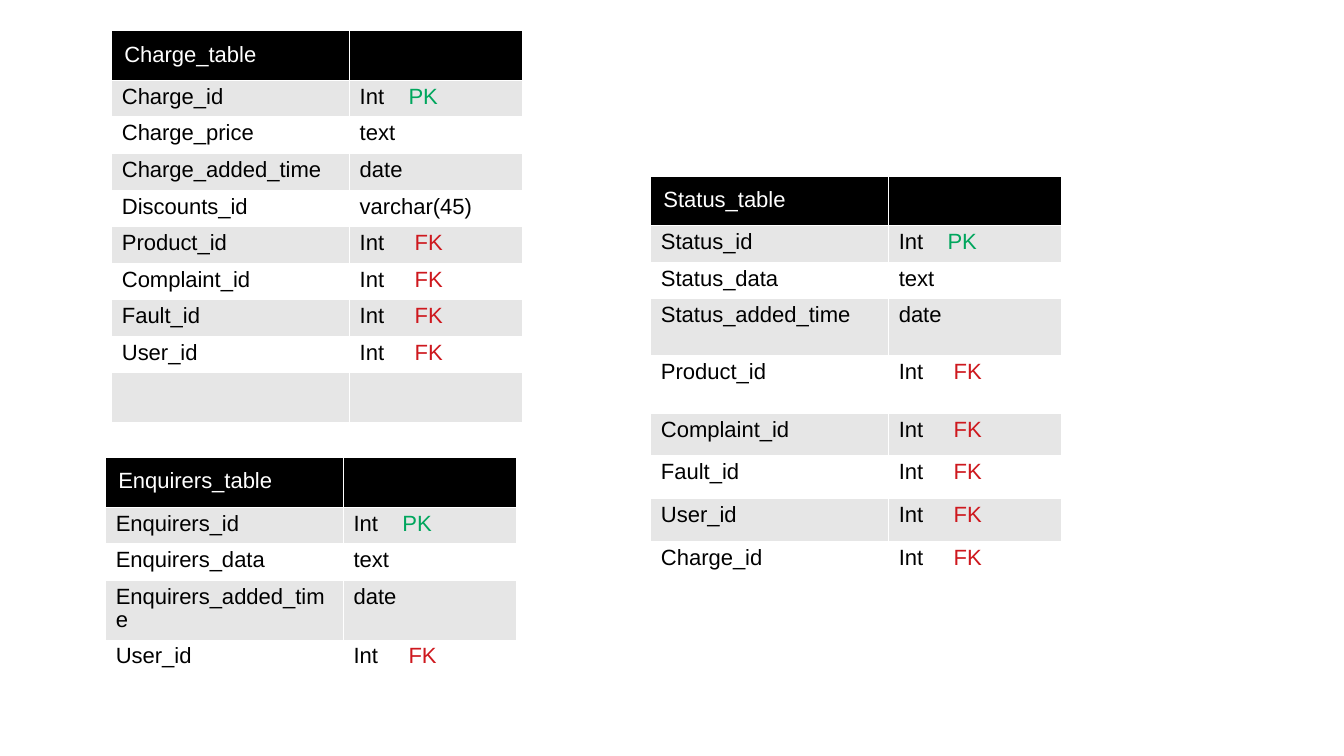
from lxml.etree import SubElement
from pptx import Presentation
from pptx.dml.color import RGBColor
from pptx.enum.text import MSO_ANCHOR
from pptx.oxml.ns import qn
from pptx.util import Inches, Pt

BLACK, WHITE, GREY = "000000", "FFFFFF", "E6E6E6"
KEY_COLOURS = {"PK": "00A65D", "FK": "CE181E"}
KEY_TABS = {"PK": 0.4, "FK": 0.45}


def colour(value):
    """Return the colour for a hex string."""
    return RGBColor.from_string(value)


class SchemaSlide:
    """Holds the text style and the slide on which schema tables are drawn."""

    font_name = "Arial"
    font_size = Pt(13)
    line_spacing = 0.93
    column_widths = (1.95, 1.42)

    def __init__(self, slide):
        """Keep the slide to draw on."""
        self.slide = slide

    def table(self, left, top, name, fields, heights):
        """Draw a header row and one banded row for each field."""
        rows = [(name, "", ""), *fields]
        frame = self.slide.shapes.add_table(
            len(rows), 2, Inches(left), Inches(top),
            Inches(sum(self.column_widths)), Inches(sum(heights)))
        schema = frame.table
        schema.horz_banding = False
        for column, width in zip(schema.columns, self.column_widths):
            column.width = Inches(width)
        for index, ((field, data_type, key), height) in enumerate(zip(rows, heights)):
            schema.rows[index].height = Inches(height)
            fill = BLACK if index == 0 else GREY if index % 2 else WHITE
            ink = WHITE if index == 0 else BLACK
            field_cell, type_cell = schema.rows[index].cells
            self.cell(field_cell, field, fill, ink)
            self.cell(type_cell, data_type, fill, ink, key)
        header = schema.cell(0, 0)
        header.vertical_anchor = MSO_ANCHOR.MIDDLE
        header.margin_left = Inches(0.11)

    def cell(self, cell, text, fill, ink, key=""):
        """Fill a cell and write its text, with the key mark at a tab stop."""
        cell.fill.solid()
        cell.fill.fore_color.rgb = colour(fill)
        cell.margin_left = cell.margin_right = Inches(0.09)
        cell.margin_top = cell.margin_bottom = Inches(0.05)
        self.borders(cell)
        if not text:
            return
        paragraph = cell.text_frame.paragraphs[0]
        paragraph.line_spacing = self.line_spacing
        if key:
            self.tab_stop(paragraph, KEY_TABS[key])
            self.run(paragraph, text + "\t", ink)
            self.run(paragraph, key, KEY_COLOURS[key])
        else:
            self.run(paragraph, text, ink)

    def run(self, paragraph, text, ink):
        """Add a run in the slide's text style."""
        run = paragraph.add_run()
        run.text = text
        run.font.name = self.font_name
        run.font.size = self.font_size
        run.font.color.rgb = colour(ink)

    def tab_stop(self, paragraph, position):
        """Add a left tab stop to a paragraph."""
        stops = SubElement(paragraph._p.get_or_add_pPr(), qn("a:tabLst"))
        SubElement(stops, qn("a:tab"), pos=str(Inches(position)), algn="l")

    def borders(self, cell):
        """Give a cell thin white borders on all sides."""
        properties = cell._tc.get_or_add_tcPr()
        for position, side in enumerate(("a:lnL", "a:lnR", "a:lnT", "a:lnB")):
            line = SubElement(properties, qn(side), w=str(Pt(0.06)))
            properties.insert(position, line)
            SubElement(SubElement(line, qn("a:solidFill")), qn("a:srgbClr"), val=WHITE)


def foreign_keys(*names):
    """Return the fields that refer to other tables."""
    return [(name, "Int", "FK") for name in names]


def main():
    """Build the slide with its three schema tables."""
    presentation = Presentation()
    presentation.slide_width = Inches(11.02)
    presentation.slide_height = Inches(6.2)
    schema = SchemaSlide(presentation.slides.add_slide(presentation.slide_layouts[6]))

    schema.table(0.91, 0.25, "Charge_table", [
        ("Charge_id", "Int", "PK"),
        ("Charge_price", "text", ""),
        ("Charge_added_time", "date", ""),
        ("Discounts_id", "varchar(45)", ""),
        *foreign_keys("Product_id", "Complaint_id", "Fault_id", "User_id"),
        ("", "", ""),
    ], [0.4] + [0.3] * 8 + [0.4])

    schema.table(5.33, 1.44, "Status_table", [
        ("Status_id", "Int", "PK"),
        ("Status_data", "text", ""),
        ("Status_added_time", "date", ""),
        *foreign_keys("Product_id", "Complaint_id", "Fault_id", "User_id", "Charge_id"),
    ], [0.4] + [0.3] * 2 + [0.47] * 2 + [0.35] * 4)

    schema.table(0.86, 3.75, "Enquirers_table", [
        ("Enquirers_id", "Int", "PK"),
        ("Enquirers_data", "text", ""),
        ("Enquirers_added_time", "date", ""),
        *foreign_keys("User_id"),
    ], [0.4, 0.3, 0.3, 0.49, 0.34])

    presentation.save("out.pptx")


if __name__ == "__main__":
    main()
